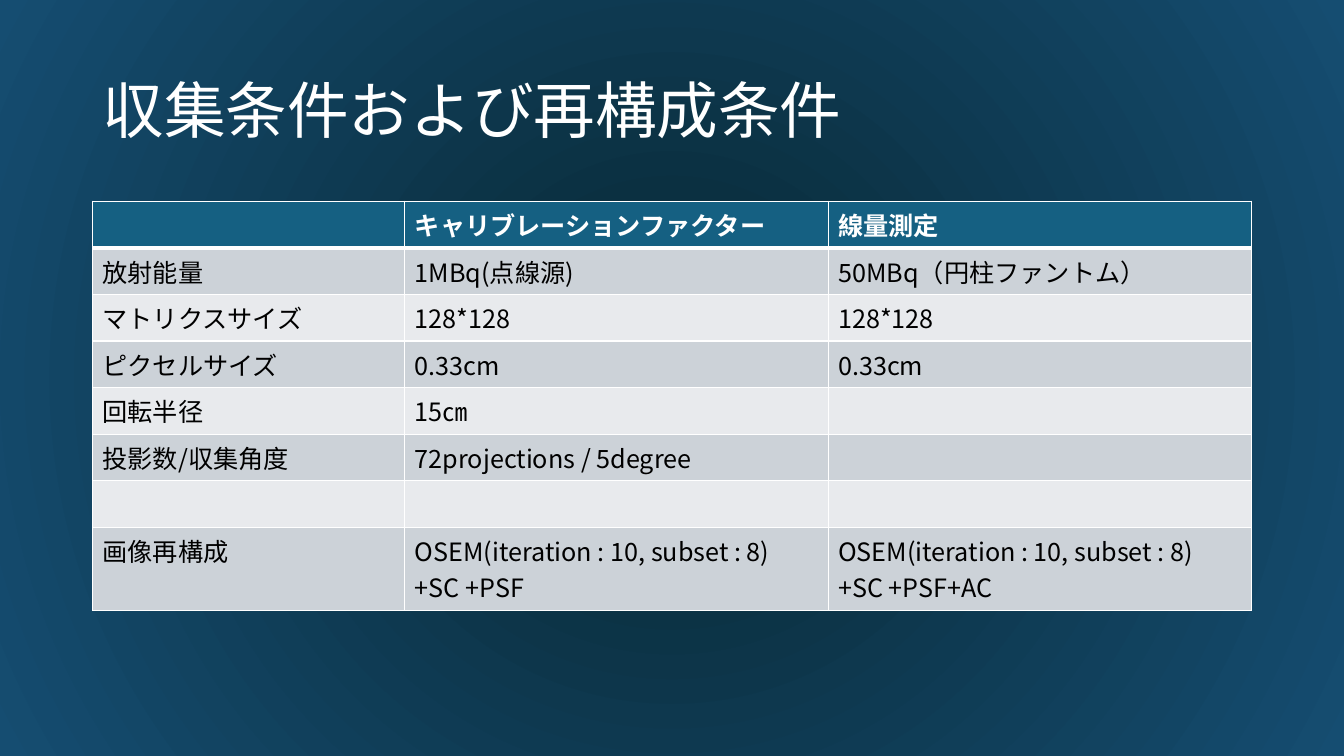
import dataclasses

import pptx
import pptx.dml.color
import pptx.enum.text
import pptx.oxml
import pptx.oxml.ns
import pptx.util
from lxml import etree

Cm = pptx.util.Cm
Pt = pptx.util.Pt
qn = pptx.oxml.ns.qn


@dataclasses.dataclass(frozen=True)
class Theme:
    font: str = "Noto Sans CJK JP"
    title_size: int = 44
    table_size: int = 18
    light: str = "FFFFFF"
    dark: str = "000000"
    header: str = "156082"
    bands: tuple = ("CCD2D8", "E8EAED")
    glow: tuple = ((0, "0B3041"), (23, "0B3041"), (100, "154D71"))
    thin: int = 1
    thick: int = 3


class SlideBuilder:
    def __init__(self, slide, theme):
        self.slide = slide
        self.theme = theme

    def background(self):
        stops = "".join(
            f'<a:gs pos="{percent * 1000}"><a:srgbClr val="{color}"/></a:gs>'
            for percent, color in self.theme.glow
        )
        background = pptx.oxml.parse_xml(
            f'<p:bg {pptx.oxml.ns.nsdecls("p", "a")}><p:bgPr>'
            f'<a:gradFill rotWithShape="1"><a:gsLst>{stops}</a:gsLst><a:path path="circle">'
            '<a:fillToRect l="50000" t="50000" r="50000" b="50000"/></a:path></a:gradFill>'
            "<a:effectLst/></p:bgPr></p:bg>"
        )
        self.slide.element.find(qn("p:cSld")).insert(0, background)

    def format_runs(self, frame, size, color, bold=False):
        for para in frame.paragraphs:
            for span in para.runs:
                span.font.size = Pt(size)
                span.font.bold = bold
                span.font.name = self.theme.font
                span.font.color.rgb = pptx.dml.color.RGBColor.from_string(color)
                properties = span.font._element
                etree.SubElement(properties, qn("a:ea"), typeface=self.theme.font)

    def title(self, text, left, top, width, height):
        box = self.slide.shapes.title
        box.left, box.top, box.width, box.height = left, top, width, height
        frame = box.text_frame
        frame.text = text
        frame.word_wrap = True
        frame.auto_size = pptx.enum.text.MSO_AUTO_SIZE.NONE
        frame.vertical_anchor = pptx.enum.text.MSO_ANCHOR.MIDDLE
        para = frame.paragraphs[0]
        para.alignment = pptx.enum.text.PP_ALIGN.LEFT
        para.line_spacing = 0.9
        self.format_runs(frame, self.theme.title_size, self.theme.light)

    def borders(self, cell, widths):
        properties = cell._tc.get_or_add_tcPr()
        for side, points in widths.items():
            line = etree.SubElement(properties, qn(f"a:ln{side}"), w=str(Pt(points)))
            fill = etree.SubElement(line, qn("a:solidFill"))
            etree.SubElement(fill, qn("a:srgbClr"), val=self.theme.light)

    def table(self, rows, left, top, widths, heights):
        theme = self.theme
        frame = self.slide.shapes.add_table(
            len(rows), len(widths), left, top, sum(widths), sum(heights)
        )
        table = frame.table
        table.horz_banding = False
        for column, width in zip(table.columns, widths):
            column.width = width
        for row, height in zip(table.rows, heights):
            row.height = height
        for index, texts in enumerate(rows):
            is_header = index == 0
            color = theme.header if is_header else theme.bands[(index - 1) % 2]
            edges = {
                "L": theme.thin,
                "R": theme.thin,
                "T": theme.thick if index == 1 else theme.thin,
                "B": theme.thick if is_header else theme.thin,
            }
            for column, text in enumerate(texts):
                cell = table.cell(index, column)
                self.borders(cell, edges)
                cell.fill.solid()
                cell.fill.fore_color.rgb = pptx.dml.color.RGBColor.from_string(color)
                if text:
                    cell.text_frame.text = text
                    text_color = theme.light if is_header else theme.dark
                    self.format_runs(cell.text_frame, theme.table_size, text_color, is_header)


CONDITIONS = [
    ("", "キャリブレーションファクター", "線量測定"),
    ("放射能量", "1MBq(点線源)", "50MBq（円柱ファントム）"),
    ("マトリクスサイズ", "128*128", "128*128"),
    ("ピクセルサイズ", "0.33cm", "0.33cm"),
    ("回転半径", "15㎝", ""),
    ("投影数/収集角度", "72projections / 5degree", ""),
    ("", "", ""),
    (
        "画像再構成",
        "OSEM(iteration : 10, subset : 8)\n+SC +PSF",
        "OSEM(iteration : 10, subset : 8)\n+SC +PSF+AC",
    ),
]


def main():
    deck = pptx.Presentation()
    deck.slide_width, deck.slide_height = Cm(33.87), Cm(19.05)
    page = SlideBuilder(deck.slides.add_slide(deck.slide_layouts[5]), Theme())
    left = Cm(2.33)
    page.background()
    page.title("収集条件および再構成条件", left, Cm(1.01), Cm(29.21), Cm(3.68))
    widths = [Cm(7.87), Cm(10.67), Cm(10.67)]
    heights = [Cm(1.17)] * (len(CONDITIONS) - 1) + [Cm(2.1)]
    page.table(CONDITIONS, left, Cm(5.07), widths, heights)
    deck.save("out.pptx")


if __name__ == "__main__":
    main()
